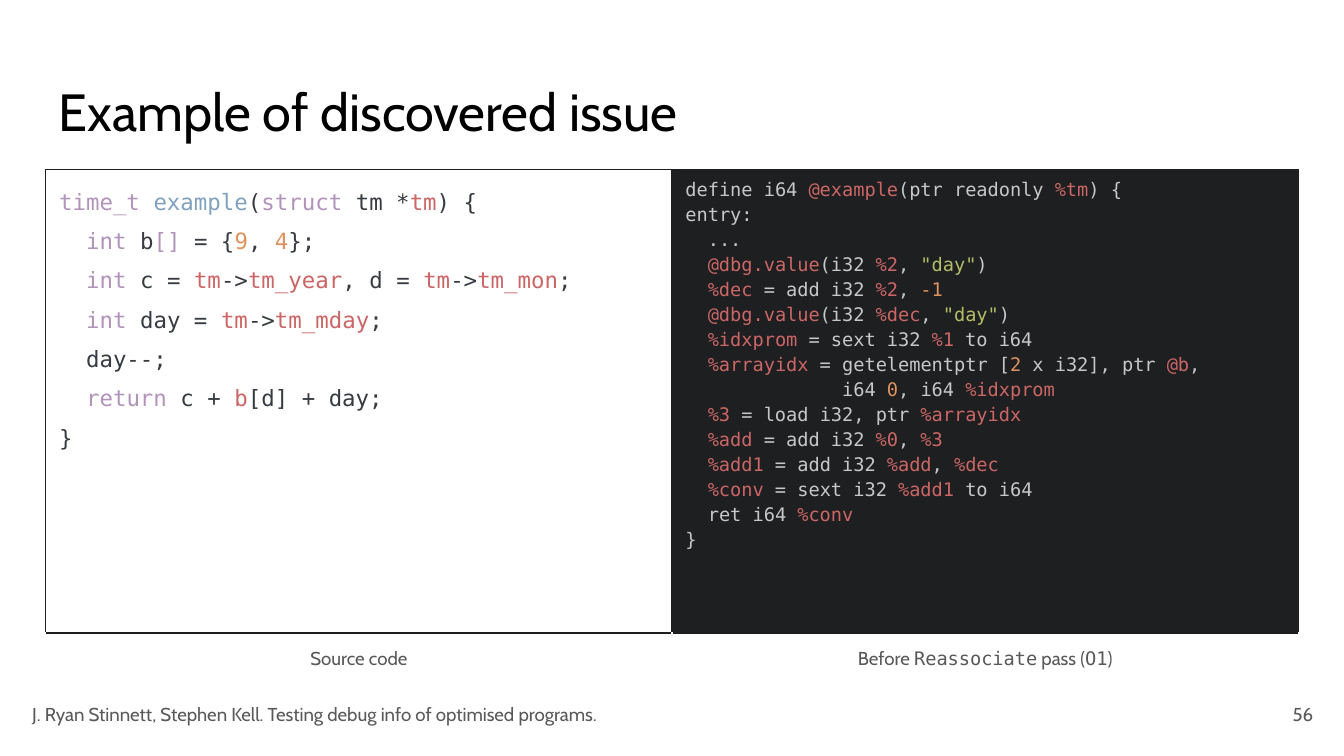
from lxml.etree import SubElement
from pptx import Presentation
from pptx.dml.color import RGBColor
from pptx.enum.text import MSO_ANCHOR, PP_ALIGN
from pptx.oxml.ns import qn
from pptx.util import Inches, Pt

BLACK = RGBColor(0x00, 0x00, 0x00)
WHITE = RGBColor(0xFF, 0xFF, 0xFF)
GREY = RGBColor(0x59, 0x59, 0x59)
DARK = RGBColor(0x1D, 0x1F, 0x21)
INK = RGBColor(0x37, 0x3B, 0x41)
PALE = RGBColor(0xC5, 0xC8, 0xC6)
PURPLE = RGBColor(0xB2, 0x94, 0xBB)
BLUE = RGBColor(0x81, 0xA2, 0xBE)
RED = RGBColor(0xCC, 0x66, 0x66)
ORANGE = RGBColor(0xDE, 0x93, 0x5F)
GREEN = RGBColor(0xB5, 0xBD, 0x68)

TEXT_FONT = "Cabin"
CODE_FONT = "DejaVu Sans Mono"

MARKS = {
    "p": {"color": PURPLE},
    "b": {"color": BLUE},
    "r": {"color": RED},
    "o": {"color": ORANGE},
    "g": {"color": GREEN},
    "m": {"font": CODE_FONT},
}

SOURCE_CODE = """\
|ptime_t| |bexample|(|pstruct| tm *|rtm|) {
  |pint| b|p[]| = {|o9|, |o4|};
  |pint| c = |rtm|->|rtm_year|, d = |rtm|->|rtm_mon|;
  |pint| day = |rtm|->|rtm_mday|;
  day--;
  |preturn| c + |rb|[d] + day;
}"""

COMPILER_CODE = """\
define i64 |r@example|(ptr readonly |r%tm|) {
entry:
  ...
  |r@dbg.value|(i32 |r%2|, |g"day"|)
  |r%dec| = add i32 |r%2|, |o-1|
  |r@dbg.value|(i32 |r%dec|, |g"day"|)
  |r%idxprom| = sext i32 |r%1| to i64
  |r%arrayidx| = getelementptr [|o2| x i32], ptr |r@b|,
              i64 |o0|, i64 |r%idxprom|
  |r%3| = load i32, ptr |r%arrayidx|
  |r%add| = add i32 |r%0|, |r%3|
  |r%add1| = add i32 |r%add|, |r%dec|
  |r%conv| = sext i32 |r%add1| to i64
  ret i64 |r%conv|
}"""


def add_span(para, text, *, font, size, color):
    span = para.add_run()
    span.text = text
    span.font.name = font
    span.font.size = Pt(size)
    span.font.color.rgb = color


def write_text(frame, text, *, align=PP_ALIGN.LEFT, spacing=1.0, **style):
    for index, line in enumerate(text.split("\n")):
        para = frame.add_paragraph() if index else frame.paragraphs[0]
        para.alignment = align
        para.line_spacing = spacing
        for position, piece in enumerate(line.split("|")):
            if position % 2:
                add_span(para, piece[1:], **{**style, **MARKS[piece[0]]})
            elif piece:
                add_span(para, piece, **style)


def set_borders(cell, colors):
    properties = cell._tc.get_or_add_tcPr()
    for index, (side, color) in enumerate(zip("LRTB", colors)):
        line = SubElement(properties, qn(f"a:ln{side}"), w=str(Pt(0.75)))
        fill = SubElement(line, qn("a:solidFill"))
        SubElement(fill, qn("a:srgbClr"), val=str(color))
        properties.insert(index, line)


class SlideBuilder:
    def __init__(self, page):
        self.page = page
        self.note_style = {"font": TEXT_FONT, "size": 10, "color": GREY}
        self.title_style = {"font": TEXT_FONT, "size": 28, "color": BLACK}

    def text(self, text, left, top, width, height, anchor=MSO_ANCHOR.MIDDLE, **style):
        box = self.page.shapes.add_textbox(
            Inches(left), Inches(top), Inches(width), Inches(height)
        )
        frame = box.text_frame
        frame.word_wrap = True
        frame.vertical_anchor = anchor
        frame.margin_left = frame.margin_right = Inches(0.1)
        frame.margin_top = frame.margin_bottom = Inches(0.1)
        write_text(frame, text, **{**self.note_style, **style})

    def title(self, text):
        self.text(text, 0.34, 0.49, 9.32, 0.63, MSO_ANCHOR.TOP, **self.title_style)

    def footer(self, text, number):
        self.text(text, 0.14, 5.1, 8.72, 0.43)
        self.text(number, 9.27, 5.1, 0.6, 0.43, align=PP_ALIGN.RIGHT)

    def code_table(self, panels):
        table = self.page.shapes.add_table(
            2, len(panels), Inches(0.34), Inches(1.26), Inches(9.32), Inches(3.84)
        ).table
        table.first_row = False
        table.horz_banding = False
        table.rows[0].height = Inches(3.45)
        table.rows[1].height = Inches(0.39)
        for column, (code, caption, fill, style) in enumerate(panels):
            table.columns[column].width = Inches(4.66)
            code_cell = table.cell(0, column)
            code_cell.fill.solid()
            code_cell.fill.fore_color.rgb = fill
            set_borders(code_cell, [DARK] * 4)
            write_text(code_cell.text_frame, code, font=CODE_FONT, **style)

            caption_cell = table.cell(1, column)
            caption_cell.fill.background()
            caption_cell.vertical_anchor = MSO_ANCHOR.MIDDLE
            set_borders(caption_cell, [WHITE, WHITE, DARK, WHITE])
            write_text(
                caption_cell.text_frame, caption, align=PP_ALIGN.CENTER, **self.note_style
            )


def main():
    deck = Presentation()
    deck.slide_width = Inches(10)
    deck.slide_height = deck.slide_width * 9 // 16
    builder = SlideBuilder(deck.slides.add_slide(deck.slide_layouts[6]))

    builder.code_table([
        (SOURCE_CODE, "Source code", WHITE,
         {"size": 12, "color": INK, "spacing": 1.5}),
        (COMPILER_CODE, "Before |mReassociate| pass (|mO1|)", DARK,
         {"size": 10, "color": PALE, "spacing": 1.15}),
    ])
    builder.title("Example of discovered issue")
    builder.footer(
        "J. Ryan Stinnett, Stephen Kell. Testing debug info of optimised programs.", "56"
    )
    deck.save("out.pptx")


if __name__ == "__main__":
    main()
